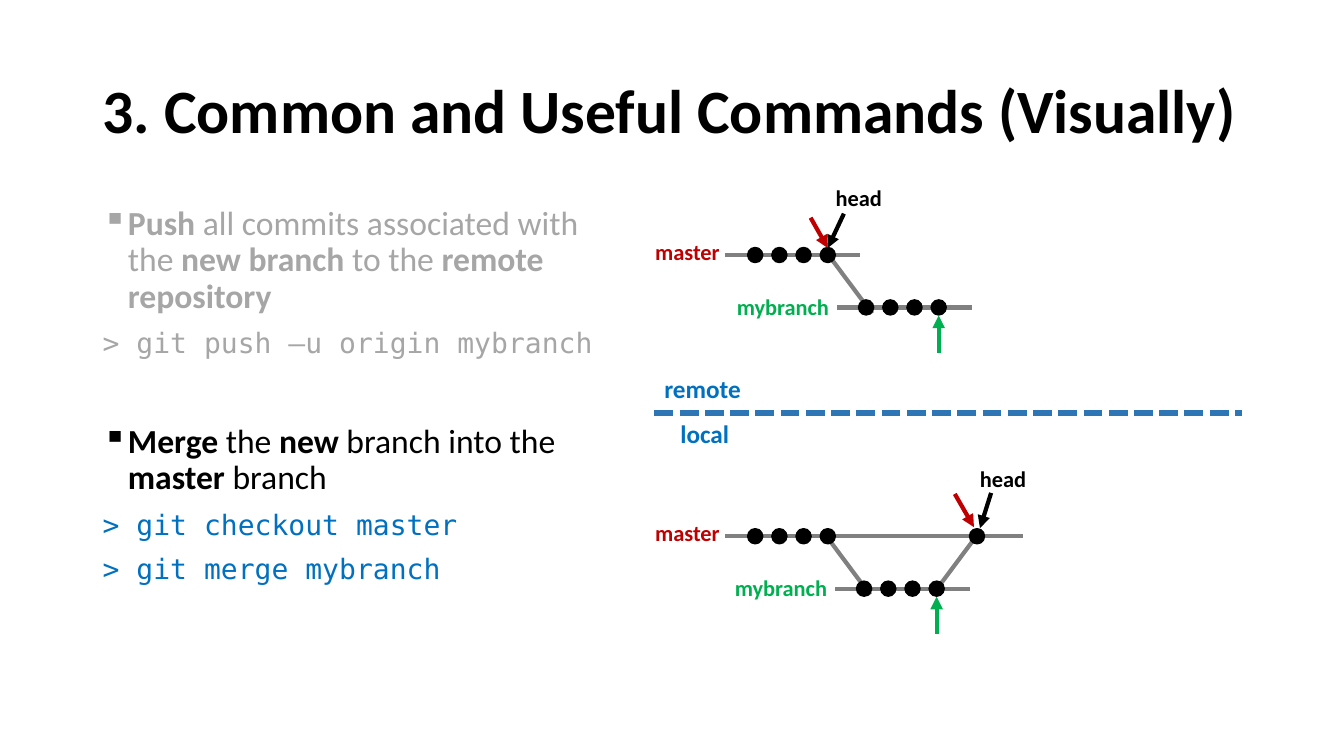
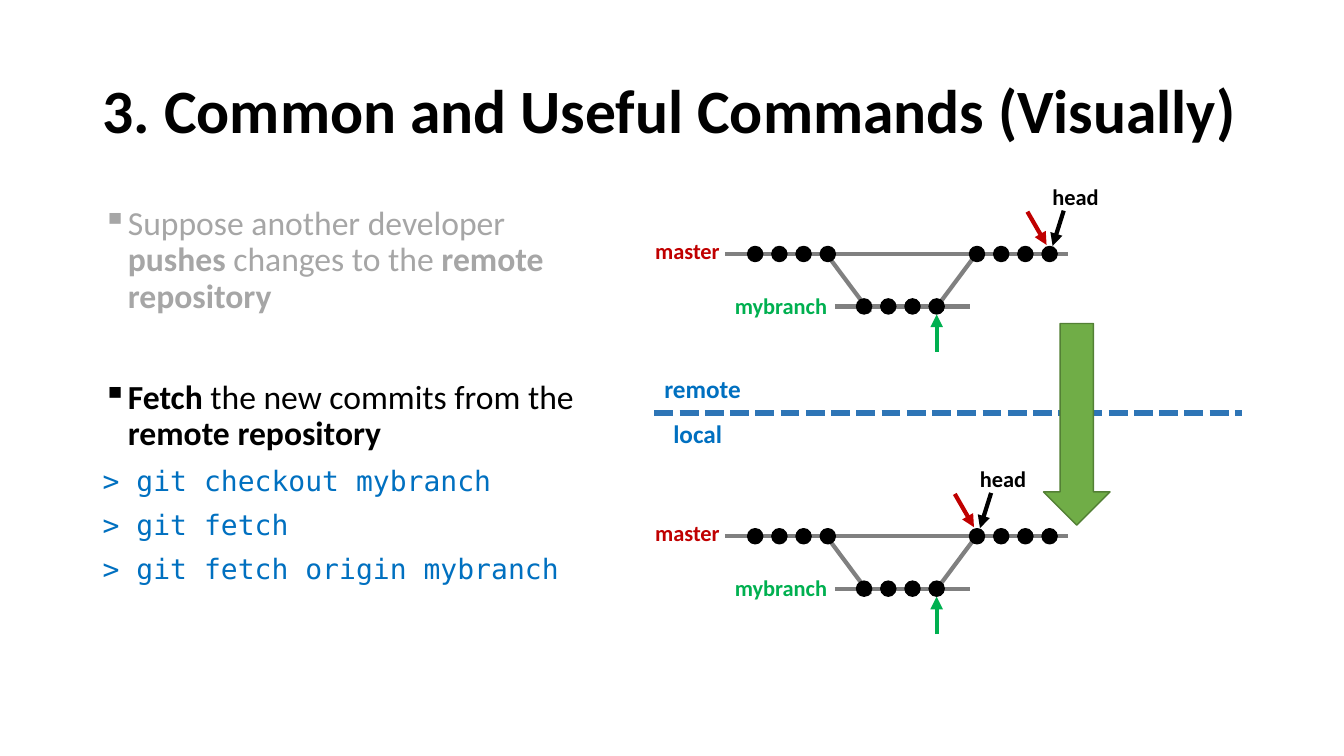
"""Build two slides that show git commands next to their commit graphs."""
from lxml import etree
from pptx import Presentation
from pptx.dml.color import RGBColor
from pptx.enum.dml import MSO_LINE
from pptx.enum.shapes import MSO_CONNECTOR, MSO_SHAPE
from pptx.enum.text import MSO_ANCHOR, PP_ALIGN
from pptx.oxml.ns import qn
from pptx.util import Inches, Pt

STRAIGHT = MSO_CONNECTOR.STRAIGHT
OVAL, DOWN_ARROW = MSO_SHAPE.OVAL, MSO_SHAPE.DOWN_ARROW
MIDDLE, RIGHT = MSO_ANCHOR.MIDDLE, PP_ALIGN.RIGHT
DASH = MSO_LINE.SQUARE_DOT

BLACK, GRAY, FADED = "000000", "808080", "A6A6A6"
BLUE, DIVIDER = "0070C0", "2E75B6"
RED, GREEN = "C00000", "00B050"
ARROW_FILL, ARROW_EDGE = "70AD47", "538035"
SANS, MONO = "Calibri", "DejaVu Sans Mono"

TITLE = "3. Common and Useful Commands (Visually)"
DOT, PITCH, COMMITS = 0.15, 0.24, 4
MASTER_X, BRANCH_X, MERGE_X = 7.49, 8.57, 9.69
BRANCH_DROP = 0.52
SPREAD = {"red": (-0.22, -0.42, -0.03, -0.09),
          "black": (0.14, -0.43, 0.03, -0.08), "label": -0.07}
MEETING = {"red": (-0.17, -0.37, 0, -0.07),
           "black": (0.16, -0.41, 0, -0.07), "label": -0.02}


def color(value):
    """Turn a hex string into a colour."""
    return RGBColor.from_string(value)


def apply(target, values):
    """Set each named attribute on the target."""
    for name, value in values.items():
        setattr(target, name, value)


class Deck:
    """Hold the shared style and the current slide."""

    def __init__(self):
        """Start an empty widescreen presentation."""
        self.show = Presentation()
        apply(self.show, {"slide_width": Inches(13.33), "slide_height": Inches(7.5)})
        self.slide = None

    def new_slide(self, local_width):
        """Add a slide with the title and the remote/local divider."""
        self.slide = self.show.slides.add_slide(self.show.slide_layouts[6])
        title = self.frame(0.92, 0.4, 11.5, 1.45)
        title.vertical_anchor = MIDDLE
        title.paragraphs[0].line_spacing = 0.9
        self.words(title.paragraphs[0], TITLE, 44, BLACK, bold=True)
        self.line(6.49, 4.1, 12.32, 4.1, DIVIDER, 4.5).line.dash_style = DASH
        self.label("remote", 6.49, 3.65, 1.06, BLUE, 18)
        self.label("local", 6.49, 4.1, local_width, BLUE, 18).alignment = RIGHT

    def frame(self, left, top, width, height):
        """Add a wrapping text box and return its text frame."""
        box = self.slide.shapes.add_textbox(
            Inches(left), Inches(top), Inches(width), Inches(height))
        box.text_frame.word_wrap = True
        return box.text_frame

    def words(self, paragraph, text, size, ink, face=SANS, bold=False):
        """Add one run of text to a paragraph."""
        run = paragraph.add_run()
        run.text = text
        apply(run.font, {"size": Pt(size), "name": face, "bold": bold})
        run.font.color.rgb = color(ink)

    def label(self, text, left, top, width, ink, size=16):
        """Add a bold one-line label and return its paragraph."""
        paragraph = self.frame(left, top, width, 0.37).paragraphs[0]
        self.words(paragraph, text, size, ink, bold=True)
        return paragraph

    def steps(self, groups):
        """Add bulleted explanations, ** marking bold, each with its commands."""
        body = self.frame(0.92, 2, 5.19, 4.76)
        paragraph = body.paragraphs[0]
        for number, (text, text_ink, commands, command_ink) in enumerate(groups):
            if number:
                paragraph = body.add_paragraph()
            apply(paragraph, {"line_spacing": 0.9,
                              "space_before": Pt(46.4 if number else 10)})
            properties = paragraph._p.get_or_add_pPr()
            properties.set("marL", str(Inches(0.25)))
            properties.set("indent", str(Inches(-0.25)))
            etree.SubElement(properties, qn("a:buChar")).set("char", "▪")
            for part, phrase in enumerate(text.split("**")):
                if phrase:
                    self.words(paragraph, phrase, 24, text_ink, bold=part % 2 == 1)
            for command in commands:
                paragraph = body.add_paragraph()
                apply(paragraph, {"line_spacing": 0.9, "space_before": Pt(10)})
                self.words(paragraph, "> " + command, 20, command_ink, MONO)

    def line(self, x1, y1, x2, y2, ink, width=3, arrow=False):
        """Draw a straight line, with an arrowhead at its end if asked."""
        line = self.slide.shapes.add_connector(
            STRAIGHT, Inches(x1), Inches(y1), Inches(x2), Inches(y2))
        line.line.width = Pt(width)
        line.line.color.rgb = color(ink)
        if arrow:
            outline = line.line._get_or_add_ln()
            etree.SubElement(outline, qn("a:tailEnd")).set("type", "triangle")
        etree.SubElement(line._element.spPr, qn("a:effectLst"))
        return line

    def shape(self, kind, left, top, width, height, fill, edge):
        """Draw a filled preset shape."""
        shape = self.slide.shapes.add_shape(
            kind, Inches(left), Inches(top), Inches(width), Inches(height))
        shape.shadow.inherit = False
        shape.fill.solid()
        shape.fill.fore_color.rgb = color(fill)
        shape.line.color.rgb = color(edge)
        shape.line.width = Pt(1)

    def commits(self, first_x, y, count):
        """Draw evenly spaced commits centred on a branch line."""
        for step in range(count):
            self.shape(OVAL, first_x + step * PITCH - DOT / 2, y - DOT / 2,
                       DOT, DOT, BLACK, BLACK)

    def graph(self, y, master_end, merged=0, shift=0, pointers=SPREAD):
        """Draw master at y and mybranch below, with commits from the merge on."""
        branch_y = y + BRANCH_DROP
        branch_x = BRANCH_X + shift
        last_x = branch_x + (COMMITS - 1) * PITCH
        head_x = (MERGE_X + (merged - 1) * PITCH if merged
                  else MASTER_X + (COMMITS - 1) * PITCH)
        if merged:
            self.line(9.72, y - 0.05, 9.25, y + 0.58, GRAY)
        self.line(8.16 + shift, y - 0.05, 8.63 + shift, y + 0.58, GRAY)
        self.line(7.19, y, master_end, y, GRAY)
        self.line(branch_x - 0.29, branch_y, branch_x + 1.05, branch_y, GRAY)
        self.commits(MASTER_X, y, COMMITS)
        self.commits(MERGE_X, y, merged)
        self.commits(branch_x, branch_y, COMMITS)
        for name, ink in (("red", RED), ("black", BLACK)):
            dx1, dy1, dx2, dy2 = pointers[name]
            self.line(head_x + dx1, y + dy1, head_x + dx2, y + dy2, ink, arrow=True)
        self.line(last_x, y + 0.97, last_x, y + 0.6, GREEN, arrow=True)
        self.label("head", head_x + pointers["label"], y - 0.75, 0.7, BLACK)
        self.label("master", 6.4, y - 0.22, 1.06, RED)
        self.label("mybranch", 7.19 + shift, y + 0.33, 1.18, GREEN)


def main():
    """Build and save both slides."""
    deck = Deck()

    deck.new_slide(local_width=0.84)
    deck.steps([
        ("**Push** all commits associated with the **new branch** to the "
         "**remote repository**", FADED, ["git push –u origin mybranch"], FADED),
        ("**Merge **the **new** branch into the **master** branch", BLACK,
         ["git checkout master", "git merge mybranch"], BLUE),
    ])
    deck.graph(2.53, 8.53, shift=0.02, pointers=MEETING)
    deck.graph(5.32, 10.15, merged=1)

    deck.new_slide(local_width=0.77)
    deck.steps([
        ("Suppose another developer **pushes** changes to the "
         "**remote repository**", FADED, [], FADED),
        ("**Fetch** the new commits from the **remote repository**", BLACK,
         ["git checkout mybranch", "git fetch", "git fetch origin mybranch"], BLUE),
    ])
    deck.graph(2.52, 10.59, merged=4)
    deck.graph(5.32, 10.59, merged=1)
    deck.commits(MERGE_X + PITCH, 5.32, 3)
    deck.shape(DOWN_ARROW, 10.35, 3.21, 0.66, 2, ARROW_FILL, ARROW_EDGE)

    deck.show.save("out.pptx")


if __name__ == "__main__":
    main()
